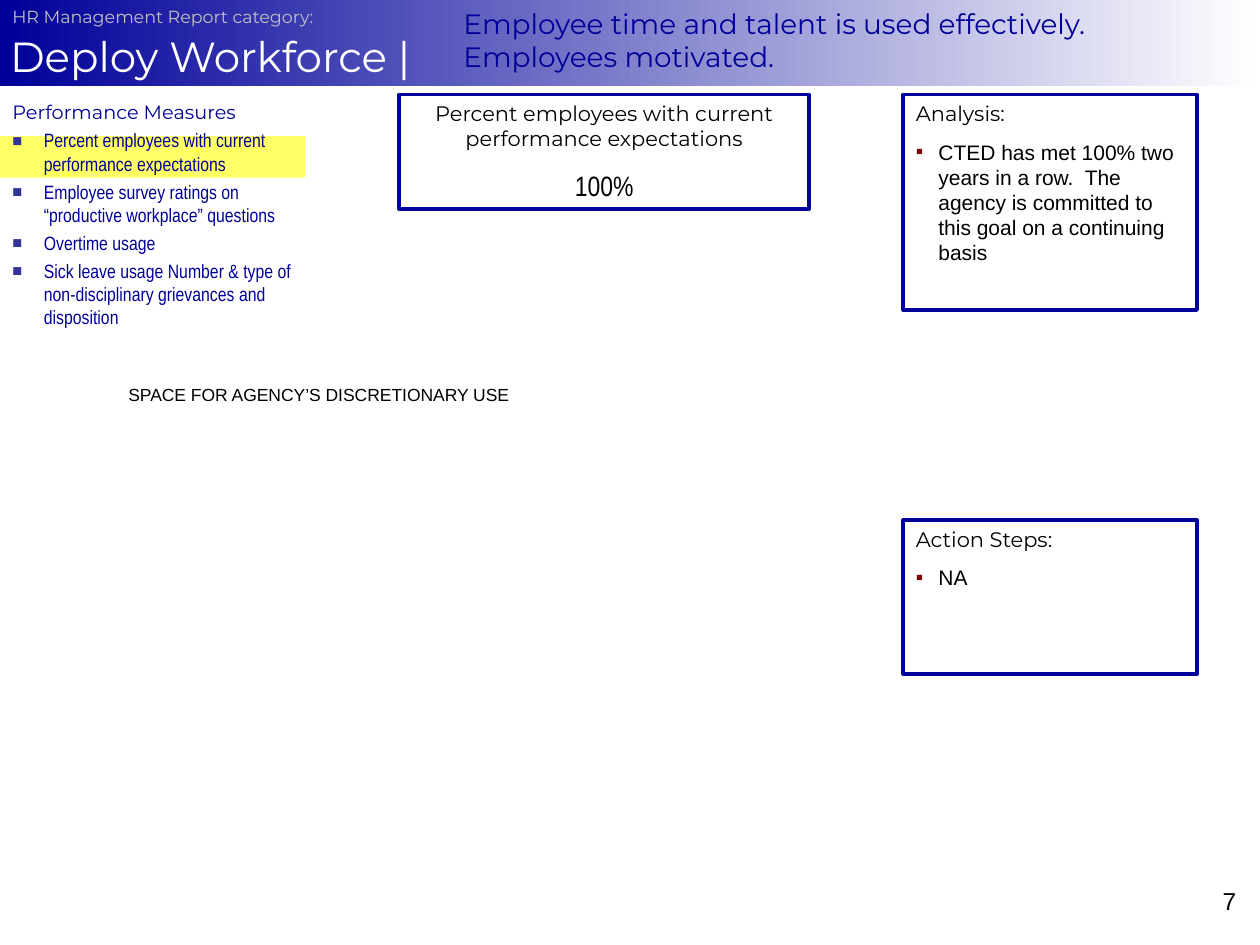
from lxml import etree
from pptx import Presentation
from pptx.dml.color import RGBColor
from pptx.enum import shapes, text
from pptx.oxml import ns
from pptx.util import Inches, Pt

NAVY, BLACK, WHITE = "000099", "000000", "FFFFFF"
HEAD, BODY, SLIM = "Montserrat", "Arial", "Arial Narrow"


def hue(code):
    return RGBColor.from_string(code)


def bullet(para, char, color, size=100):
    """Give a paragraph a coloured bullet."""
    props = para._p.get_or_add_pPr()

    def add(tag, parent=props, **attrs):
        return etree.SubElement(parent, ns.qn("a:" + tag), attrs)

    add("srgbClr", add("buClr"), val=color)
    add("buSzPct", val=str(size * 1000))
    add("buFont", typeface=BODY)
    add("buChar", char=char)


def write(frame, lines, inset=(0.1, 0.05)):
    """Fill a text frame; each line is (words, font, size, color, format)."""
    side, edge = map(Inches, inset)
    setup = dict(word_wrap=True, vertical_anchor=text.MSO_ANCHOR.TOP,
                 margin_left=side, margin_right=side,
                 margin_top=edge, margin_bottom=edge)
    for key, value in setup.items():
        setattr(frame, key, value)
    for i, (words, font, size, color, form) in enumerate(lines):
        para = frame.paragraphs[0] if i == 0 else frame.add_paragraph()
        form = dict(alignment=text.PP_ALIGN.LEFT) | form
        mark, indent = form.pop("mark", None), form.pop("indent", 0)
        if mark:
            bullet(para, *mark)
        if indent:
            props = para._p.get_or_add_pPr()
            props.set("marL", str(Inches(indent)))
            props.set("indent", str(-Inches(indent)))
        for key, value in form.items():
            setattr(para, key, value)
        run = para.add_run()
        run.text = words
        run.font.name, run.font.size = font, Pt(size)
        run.font.color.rgb = hue(color)


def label(slide, at, lines):
    box = slide.shapes.add_textbox(*map(Inches, at))
    write(box.text_frame, lines)


def rect(slide, at, fill=None, line=None):
    shape = slide.shapes.add_shape(shapes.MSO_SHAPE.RECTANGLE,
                                   *map(Inches, at))
    shape.shadow.inherit = False
    if fill:
        shape.fill.solid()
        shape.fill.fore_color.rgb = hue(fill)
    else:
        shape.fill.background()
    if line:
        shape.line.color.rgb = hue(line)
        shape.line.width = Pt(2.25)
    else:
        shape.line.fill.background()
    return shape


def banner(slide, at, title):
    """Draw the title band, fading from navy to white."""
    band = rect(slide, at)
    band.fill.gradient()
    band.fill.gradient_angle = 180
    for stop, color, pos in zip(band.fill.gradient_stops,
                                (WHITE, NAVY), (0, 1)):
        stop.color.rgb, stop.position = hue(color), pos
    write(band.text_frame,
          [(title, HEAD, 24, WHITE, dict(line_spacing=1.5))], (0.08, 0.04))


def panel(slide, top, height, title, note):
    """Draw a framed box with a heading and one bulleted note."""
    box = rect(slide, (7.17, top, 2.33, height), line=NAVY)
    item = dict(indent=0.18, mark=("▪", "800000"), space_before=Pt(7.5))
    write(box.text_frame, [(title, HEAD, 12, BLACK, dict(indent=0.18)),
                           (note, BODY, 12, BLACK, item)])


def main():
    prs = Presentation()
    prs.slide_width, prs.slide_height = Inches(10), Inches(7.5)
    slide = prs.slides.add_slide(prs.slide_layouts[6])

    # Measures list, with the current one highlighted
    rect(slide, (0, 1.08, 2.42, 0.33), fill="FFFF66")
    item = dict(indent=0.25, mark=("■", "333399", 85), space_before=Pt(2.8))
    goals = ("Percent employees with current performance expectations",
             "Employee survey ratings on “productive workplace” questions",
             "Overtime usage",
             "Sick leave usage Number & type of non-disciplinary "
             "grievances and disposition")
    label(slide, (0, 0.75, 2.42, 2.08),
          [("Performance Measures", HEAD, 11, NAVY, dict(indent=0.25))]
          + [(goal, SLIM, 11, NAVY, item) for goal in goals])

    # Header
    banner(slide, (0, 0, 10, 0.68), "Deploy Workforce |")
    label(slide, (3.58, 0, 6.08, 0.64),
          [("Employee time and talent is used effectively. "
            "Employees motivated.", HEAD, 16, NAVY, {})])
    label(slide, (0, 0, 3, 0.27),
          [("HR Management Report category:", HEAD, 10, "C0C0C0", {})])

    # Key figure
    mid = dict(alignment=text.PP_ALIGN.CENTER)
    card = rect(slide, (3.17, 0.75, 3.25, 0.91), line=NAVY)
    write(card.text_frame,
          [(goals[0], HEAD, 12, BLACK, mid),
           ("100%", SLIM, 16, BLACK, mid | dict(space_before=Pt(10)))])

    # Free space
    label(slide, (0.92, 3, 4.08, 0.27),
          [("SPACE FOR AGENCY’S DISCRETIONARY USE", BODY, 10, BLACK, {})])

    # Comment panels
    panel(slide, 0.75, 1.71, "Analysis:",
          "CTED has met 100% two years in a row.  The agency is committed "
          "to this goal on a continuing basis")
    panel(slide, 4.13, 1.22, "Action Steps:", "NA")

    # Page number
    label(slide, (7.58, 6.98, 2.33, 0.52),
          [("7", BODY, 14, BLACK, dict(alignment=text.PP_ALIGN.RIGHT))])

    prs.save("out.pptx")


if __name__ == "__main__":
    main()
